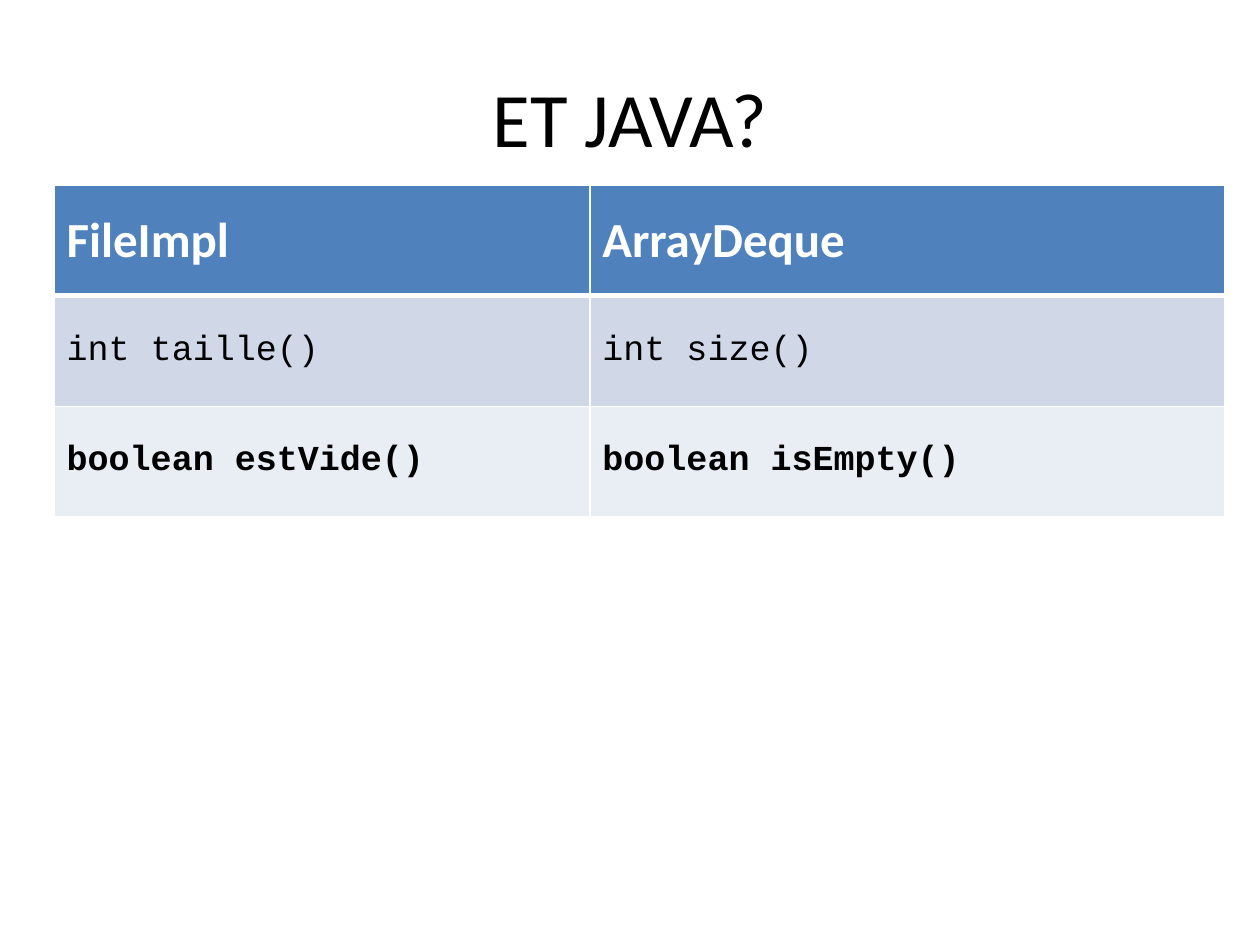
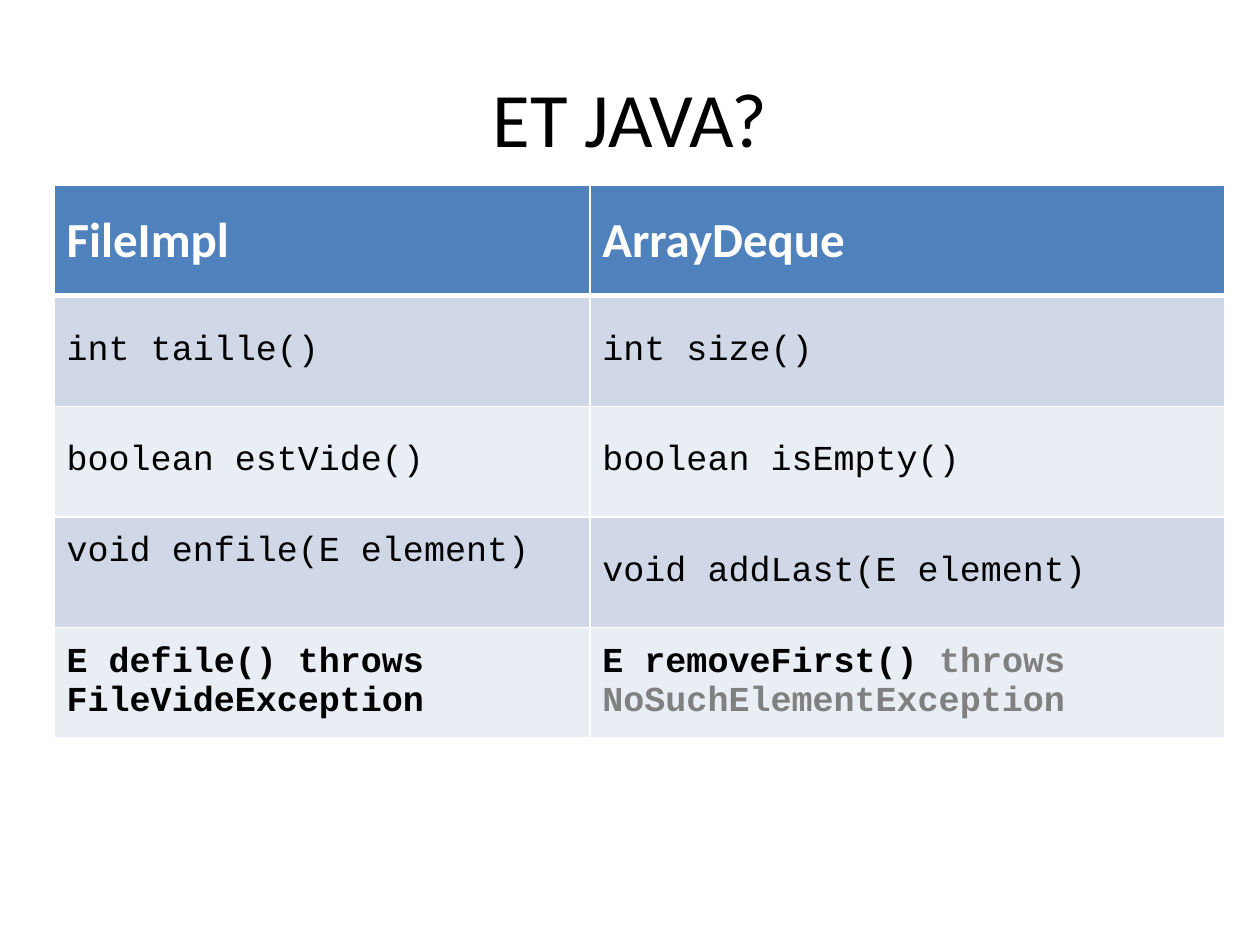
"""Build two slides comparing the FileImpl queue with Java's ArrayDeque."""
from lxml import etree
from pptx import Presentation
from pptx.dml.color import RGBColor
from pptx.enum.text import MSO_ANCHOR, PP_ALIGN
from pptx.oxml.ns import qn
from pptx.util import Cm, Pt

MIDDLE = MSO_ANCHOR.MIDDLE
CENTER = PP_ALIGN.CENTER

WHITE, BLACK, GREY = "FFFFFF", "000000", "808080"
HEADER_FILL = "4F81BD"
BAND_FILLS = ["E9EDF4", "D0D8E8"]
TITLE = "ET JAVA?"
HEADER = ("FileImpl", "ArrayDeque")
COLUMN_WIDTHS = [10.8, 12.8]
ROW_HEIGHT = 2.23

SIZE_ROW = ("int taille()", "int size()")
EMPTY_ROW = ("boolean estVide()", "boolean isEmpty()")
ENQUEUE_ROW = ("void enfile(E element)", "void addLast(E element)")
DEQUEUE_ROW = (
    "E defile() throws FileVideException",
    "E removeFirst() \nNoSuchElementException",
)
SLIDE_METHODS = [
    [SIZE_ROW, EMPTY_ROW],
    [SIZE_ROW, EMPTY_ROW, ENQUEUE_ROW, DEQUEUE_ROW],
]


def color(hex_string):
    return RGBColor.from_string(hex_string)


def add_borders(cell, widths):
    properties = cell._tc.get_or_add_tcPr()
    for side, width in zip("LRTB", widths):
        line = etree.SubElement(properties, qn(f"a:ln{side}"), w=str(Pt(width)))
        fill = etree.SubElement(line, qn("a:solidFill"))
        etree.SubElement(fill, qn("a:srgbClr"), val=WHITE)


presentation = Presentation()
presentation.slide_width = Cm(25.4)
presentation.slide_height = Cm(19.05)
blank_layout = presentation.slide_layouts[6]

for methods in SLIDE_METHODS:
    slide = presentation.slides.add_slide(blank_layout)

    title_box = slide.shapes.add_textbox(Cm(1.27), Cm(0.76), Cm(22.86), Cm(3.18))
    title_frame = title_box.text_frame
    title_frame.word_wrap = True
    title_frame.vertical_anchor = MIDDLE
    title_frame.text = TITLE
    title = title_frame.paragraphs[0]
    title.alignment = CENTER
    title.font.name = "Calibri"
    title.font.size = Pt(44)
    title.font.color.rgb = color(BLACK)

    rows = [HEADER] + methods
    table = slide.shapes.add_table(
        len(rows), len(HEADER), Cm(1.09), Cm(3.73),
        Cm(sum(COLUMN_WIDTHS)), Cm(ROW_HEIGHT * len(rows)),
    ).table
    for column, width in zip(table.columns, COLUMN_WIDTHS):
        column.width = Cm(width)

    for row_index, texts in enumerate(rows):
        table.rows[row_index].height = Cm(ROW_HEIGHT)
        is_header = row_index == 0
        is_newest = row_index == len(rows) - 1
        for column_index, text in enumerate(texts):
            cell = table.cell(row_index, column_index)
            top_width = 3 if row_index == 1 else 1
            bottom_width = 3 if is_header else 1
            add_borders(cell, [1, 1, top_width, bottom_width])
            cell.fill.solid()
            cell.fill.fore_color.rgb = color(
                HEADER_FILL if is_header else BAND_FILLS[row_index % 2]
            )
            cell.vertical_anchor = MIDDLE
            cell.text = text
            for paragraph in cell.text_frame.paragraphs:
                paragraph.font.name = "Calibri" if is_header else "Courier New"
                paragraph.font.size = Pt(28 if is_header else 20)
                paragraph.font.bold = is_header or is_newest
                paragraph.font.color.rgb = color(WHITE if is_header else BLACK)

    if ENQUEUE_ROW in rows:
        table.cell(rows.index(ENQUEUE_ROW), 0).margin_bottom = Cm(0.93)

    if DEQUEUE_ROW in rows:
        remove_cell = table.cell(rows.index(DEQUEUE_ROW), 1)
        signature, exception = remove_cell.text_frame.paragraphs
        throws = signature.add_run()
        throws.text = "throws"
        throws.font.color.rgb = color(GREY)
        exception.font.color.rgb = color(GREY)

presentation.save("out.pptx")
